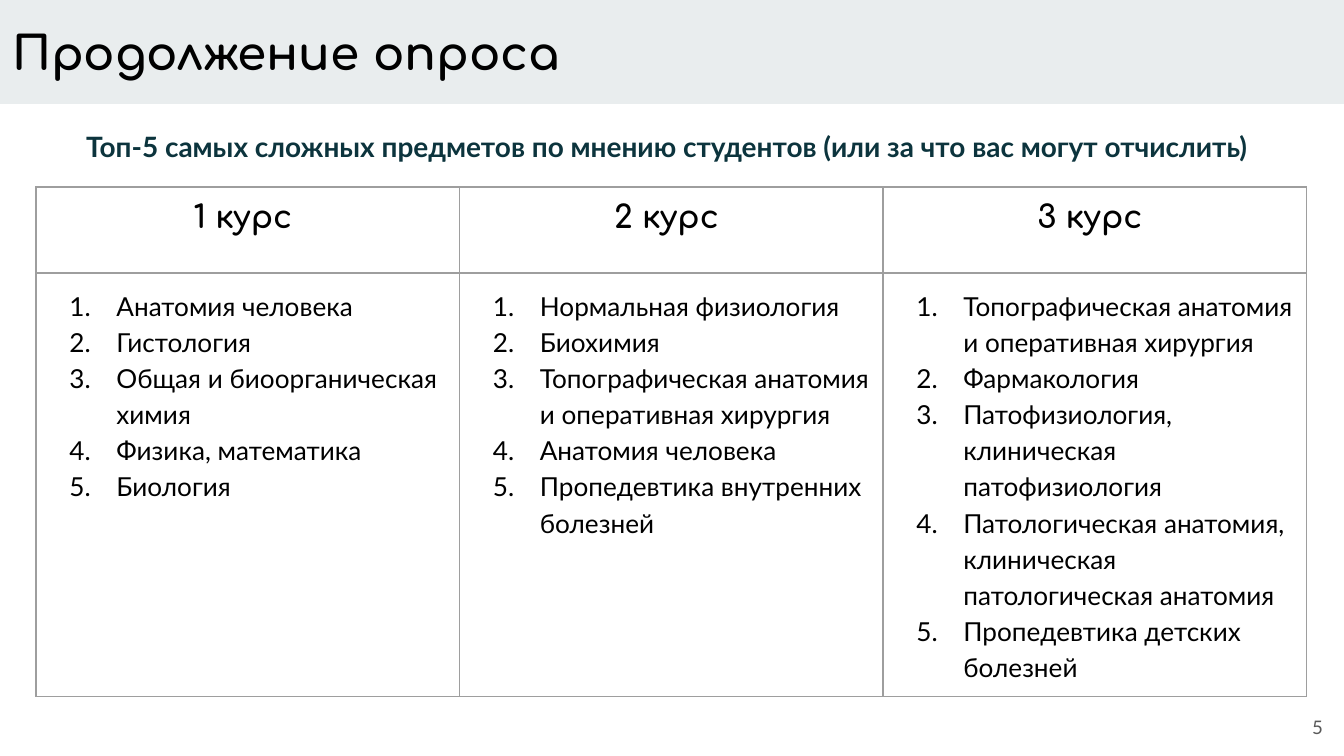
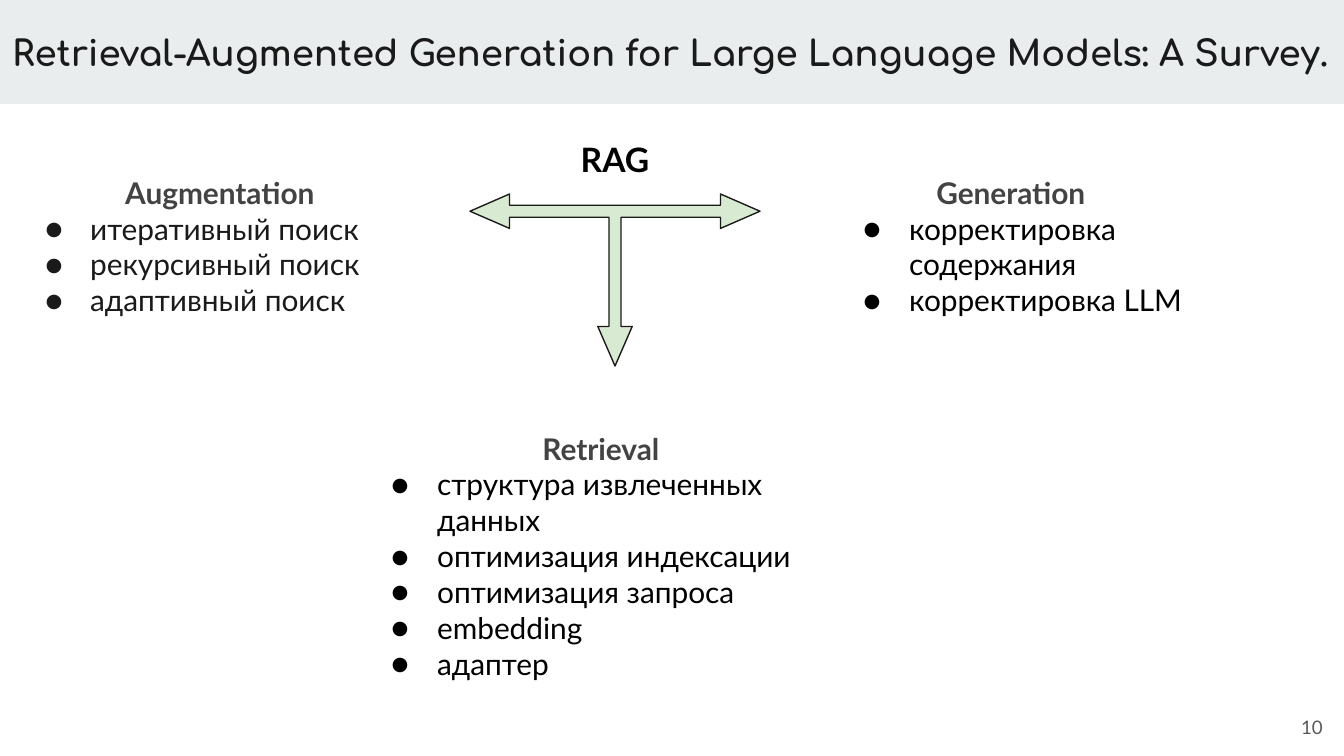
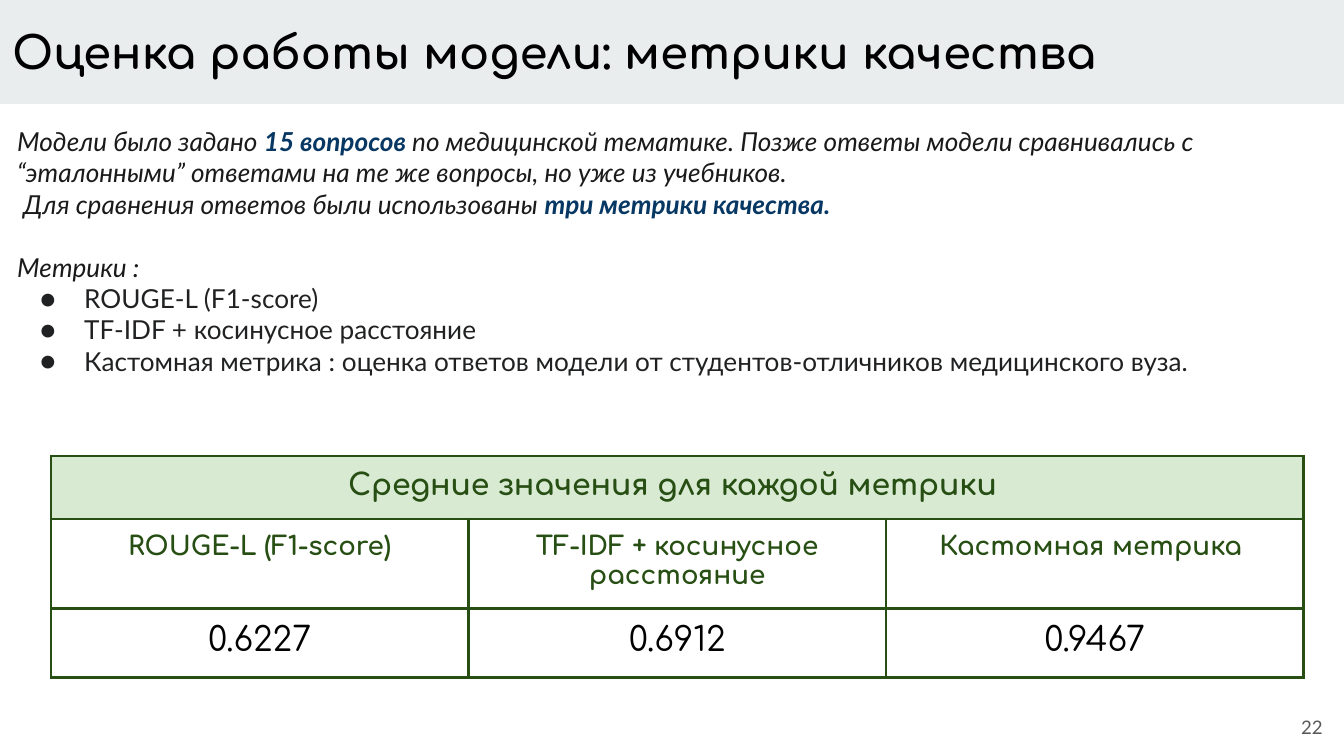
"""Build three slides on a student survey, RAG and quality metrics."""
from lxml import etree
from pptx import Presentation
from pptx.dml.color import RGBColor
from pptx.enum import shapes, text
from pptx.oxml import ns
from pptx.util import Emu, Pt

SCALE = 914400 / 134.4
BLACK, INK, GREY = "000000", "1A1A1A", "434343"
BAND, GREEN, MINT, NAVY = "E9EDEE", "274E13", "D9EAD3", "073763"
LATO, ROUND = "Lato", "Comfortaa"
MID, RIGHT = text.PP_ALIGN.CENTER, text.PP_ALIGN.RIGHT
PAD = dict.fromkeys(["margin_left", "margin_top", "margin_right", "margin_bottom"], Emu(91440))
hue = RGBColor.from_string


def px(*nums):
    """Turn pixels into a list of EMU lengths."""
    return [Emu(round(num * SCALE)) for num in nums]


def write(host, lines, size, tone, name=LATO, bold=False, italic=False,
          mark=None, hang=0, **form):
    """Add lines to a shape or cell; text between asterisks is accented."""
    frame = host.text_frame
    for line in lines:
        para = frame.paragraphs[0]
        if para.runs:
            para = frame.add_paragraph()
        if mark:
            props = para._p.get_or_add_pPr()
            left, dent = px(67, -hang)
            props.set("marL", str(left))
            props.set("indent", str(dent))
            tint = etree.SubElement(props, ns.qn("a:buClr"))
            etree.SubElement(tint, ns.qn("a:srgbClr"), val=tone)
            etree.SubElement(props, ns.qn("a:buFont"), typeface=LATO)
            if mark == "1.":
                etree.SubElement(props, ns.qn("a:buAutoNum"), type="arabicPeriod")
            else:
                etree.SubElement(props, ns.qn("a:buChar"), char=mark)
        for key, val in form.items():
            setattr(para, key, val)
        for spot, part in enumerate(line.split("*")):
            if part:
                run = para.add_run()
                run.text = part
                style = {"size": Pt(size), "name": name, "bold": bold or spot % 2 == 1,
                         "italic": italic}
                for key, val in style.items():
                    setattr(run.font, key, val)
                run.font.color.rgb = hue(NAVY if spot % 2 else tone)


deck = Presentation()
deck.slide_width, deck.slide_height = px(1344, 756)

head = {"size": 16, "tone": GREY, "bold": True, "alignment": MID}
item = {"size": 16, "tone": BLACK, "mark": "●", "hang": 46}
note = {"size": 14, "tone": INK, "italic": True}
pages = [
    ("Продолжение опроса", 25, BLACK, 5, [
        ((73, 116, 1199, 60), [
            (["Топ-5 самых сложных предметов по мнению студентов (или за что вас могут отчислить)"],
             {"size": 15, "tone": "0C343D", "bold": True})]),
    ]),
    ("Retrieval-Augmented Generation for Large Language Models: A Survey.", 19, INK, 10, [
        ((551, 126, 128, 67), [(["RAG"], {**head, "size": 18, "tone": BLACK})]),
        ((357, 399, 495, 298), [
            (["Retrieval "], {**head, "line_spacing": 1.5}),
            (["структура извлеченных данных", "оптимизация индексации",
              "оптимизация запроса", "embedding", "адаптер"], item)]),
        ((829, 161, 371, 208), [
            (["Generation "], head),
            (["корректировка содержания", "корректировка LLM"], item)]),
        ((10, 161, 420, 172), [
            (["Augmentation"], head),
            (["итеративный поиск", "рекурсивный поиск", "адаптивный поиск"],
             {**item, "tone": INK, "hang": 45})]),
    ]),
    ("Оценка работы модели: метрики качества", 24, BLACK, 22, [
        ((4, 112, 1336, 344), [
            (["Модели было задано *15 вопросов *по медицинской тематике. Позже ответы модели "
              "сравнивались с “эталонными” ответами на те же вопросы, но уже из учебников.",
              " Для сравнения ответов были использованы *три метрики качества.*"], note),
            (["Метрики :"], {**note, "space_before": Pt(16.8)}),
            (["ROUGE-L (F1-score)", "TF-IDF + косинусное расстояние",
              "Кастомная метрика : оценка ответов модели от студентов-отличников "
              "медицинского вуза."],
             {**item, "size": 14, "tone": "202122", "hang": 44})]),
    ]),
]

slides = []
for title, size, tone, page, boxes in pages:
    slide = deck.slides.add_slide(deck.slide_layouts[6])
    slides.append(slide)
    band = slide.shapes.add_shape(shapes.MSO_SHAPE.RECTANGLE, *px(-1, 0, 1345, 104))
    band.shadow.inherit = False
    band.fill.solid()
    band.fill.fore_color.rgb = hue(BAND)
    band.line.fill.background()
    label = {"size": size, "tone": tone, "name": ROUND, "bold": True,
             "alignment": text.PP_ALIGN.LEFT}
    number = {"size": 10, "tone": "595959", "alignment": RIGHT}
    jobs = [(band, [([title], label)])]
    for place, parts in boxes + [((1255, 698, 81, 58), [([str(page)], number)])]:
        jobs.append((slide.shapes.add_textbox(*px(*place)), parts))
    for shape, parts in jobs:
        frame = shape.text_frame
        edge = shape is band or shape is jobs[-1][0]
        anchor = text.MSO_ANCHOR.MIDDLE if edge else text.MSO_ANCHOR.TOP
        for key, val in {**PAD, "word_wrap": True, "vertical_anchor": anchor}.items():
            setattr(frame, key, val)
        for lines, style in parts:
            write(shape, lines, **style)

arrow = slides[1].shapes.add_shape(shapes.MSO_SHAPE.LEFT_RIGHT_UP_ARROW, *px(470, 194, 290, 172))
arrow.rotation = 180
arrow.shadow.inherit = False
for spot, val in enumerate([0.07, 0.1, 0.23]):
    arrow.adjustments[spot] = val
arrow.fill.solid()
arrow.fill.fore_color.rgb = hue(MINT)
arrow.line.color.rgb = hue(INK)
arrow.line.width = Pt(0.75)

grids = []
for slide, left, top, wide, rows, tone, thick in [
    (slides[0], 36, 187, 423.5, [86, 82, 82, 86, 85, 88], "9E9E9E", 0.75),
    (slides[2], 51, 456, 417.5, [62, 89, 69], GREEN, 1.5),
]:
    grid = slide.shapes.add_table(len(rows), 3, *px(left, top, wide * 3, sum(rows))).table
    grids.append(grid)
    grid.first_row = grid.horz_banding = False
    for col in grid.columns:
        col.width = px(wide)[0]
    for row, high in zip(grid.rows, rows):
        row.height = px(high)[0]
    for cell in grid.iter_cells():
        for key, val in PAD.items():
            setattr(cell, key, val)
        cell.fill.background()
        props = cell._tc.get_or_add_tcPr()
        for spot, side in enumerate("LRTB"):
            line = etree.Element(ns.qn("a:ln" + side), w=str(Pt(thick)))
            fill = etree.SubElement(line, ns.qn("a:solidFill"))
            etree.SubElement(fill, ns.qn("a:srgbClr"), val=tone)
            props.insert(spot, line)

years, scores = grids
topics = [
    ["Анатомия человека", "Гистология", "Общая и биоорганическая химия",
     "Физика, математика", "Биология"],
    ["Нормальная физиология", "Биохимия", "Топографическая анатомия и оперативная хирургия",
     "Анатомия человека", "Пропедевтика внутренних болезней"],
    ["Топографическая анатомия и оперативная хирургия", "Фармакология",
     "Патофизиология, клиническая патофизиология",
     "Патологическая анатомия, клиническая патологическая анатомия",
     "Пропедевтика детских болезней"],
]
for col, names in enumerate(topics):
    write(years.cell(0, col), [f"{col + 1} курс "], 17, BLACK, ROUND, True, alignment=MID)
    years.cell(1, col).merge(years.cell(5, col))
    write(years.cell(1, col), names, 14, BLACK, mark="1.", hang=47, line_spacing=1.15)

top = scores.cell(0, 0)
top.merge(scores.cell(0, 2))
top.fill.solid()
top.fill.fore_color.rgb = hue(MINT)
write(top, ["Средние значения для каждой метрики "], 16, GREEN, ROUND, True, alignment=MID)
for col, (name, score) in enumerate([
    ("ROUGE-L (F1-score)", "0.6227"),
    ("TF-IDF + косинусное расстояние", "0.6912"),
    ("Кастомная метрика ", "0.9467"),
]):
    write(scores.cell(1, col), [name], 14, GREEN, ROUND, True, alignment=MID)
    write(scores.cell(2, col), [score], 18, BLACK, ROUND, alignment=MID)

deck.save("out.pptx")
